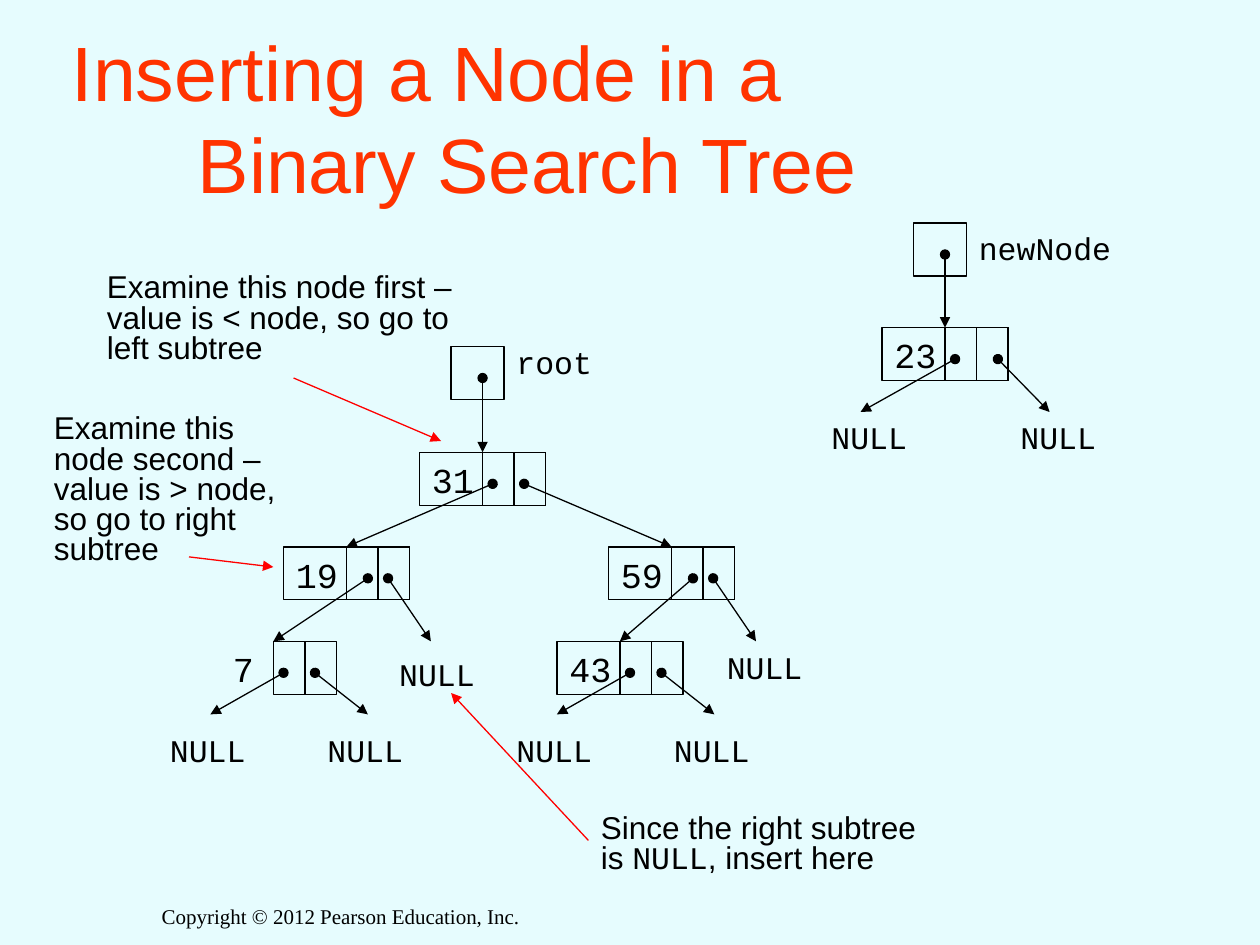
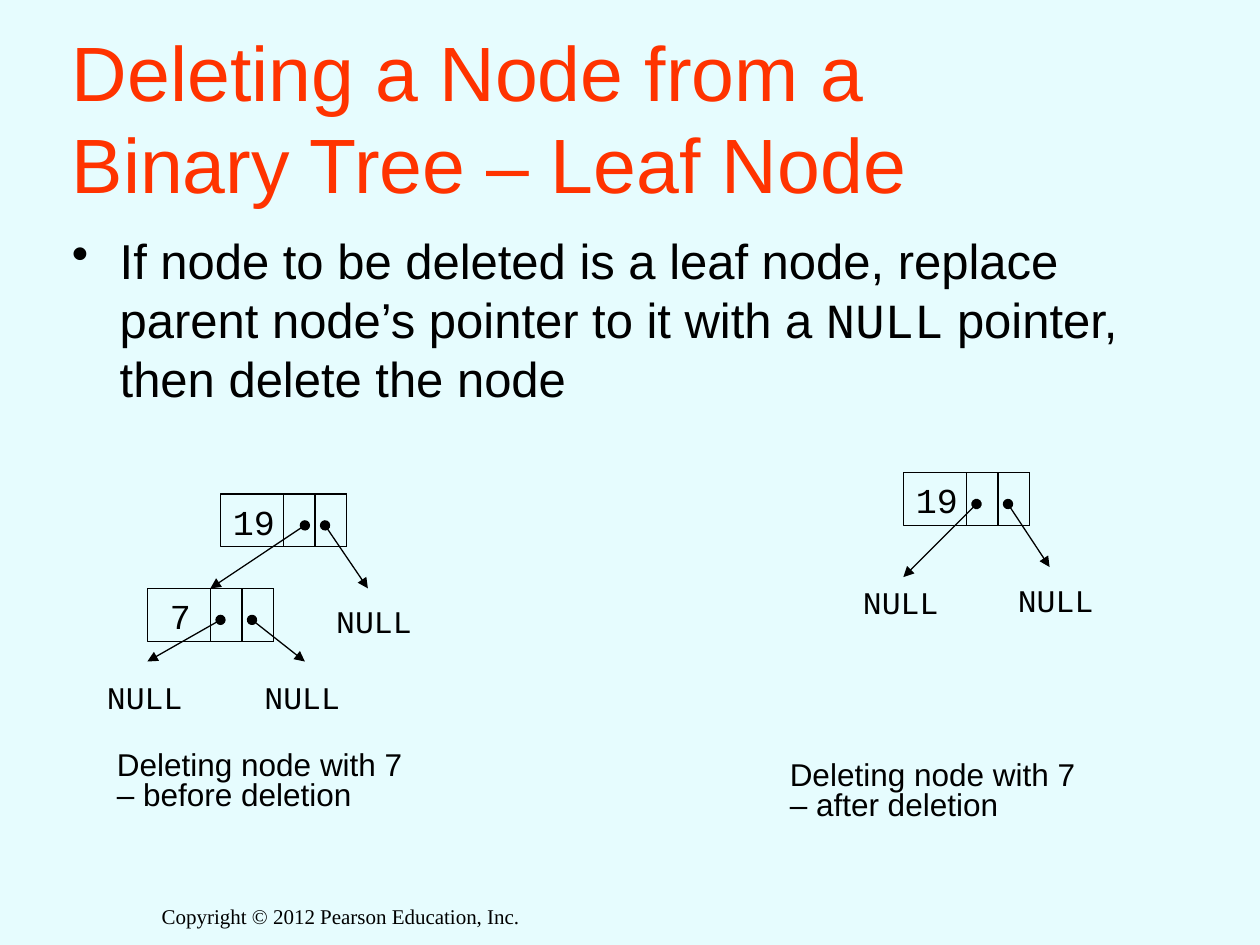
import pptx
import pptx.dml.color
import pptx.enum.shapes
import pptx.enum.text
import pptx.oxml
import pptx.oxml.ns
import pptx.util
from pptx.util import Inches

COLORS = {
    "background": "E6FCFE",
    "title": "FF3300",
    "ink": "000000",
    "callout": "FF0000",
}
SANS, MONO, SERIF = "Arial", "Courier New", "Times New Roman"
COPYRIGHT = "Copyright © 2012 Pearson Education, Inc."
CELL_WIDTH, BOX_HEIGHT = 0.25, 0.42
LEFT_DOT, RIGHT_DOT, DOT_DROP = 0.58, 0.83, 0.25


def rgb(name):
    return pptx.dml.color.RGBColor.from_string(COLORS[name])


def add_xml(parent, tag, **attributes):
    child = pptx.oxml.parse_xml(f"<a:{tag} {pptx.oxml.ns.nsdecls('a')}/>")
    for key, value in attributes.items():
        child.set(key, str(value))
    parent.append(child)
    return child


class TreeDeck:
    """Style of the deck and the slide being drawn."""

    def __init__(self):
        self.prs = pptx.Presentation()
        self.prs.slide_width, self.prs.slide_height = Inches(10), Inches(7.5)
        fill = self.prs.slide_master.background.fill
        fill.solid()
        fill.fore_color.rgb = rgb("background")
        self.slide = None

    def new_slide(self, title, hanging=0):
        self.slide = self.prs.slides.add_slide(self.prs.slide_layouts[6])
        self.text(COPYRIGHT, 1.08, 7.12, 3.25, 0.61, size=12, font=SERIF,
                  align=pptx.enum.text.PP_ALIGN.CENTER)
        self.text(title, 0.5, 0.3, 9, 1.25, size=44, color="title",
                  anchor=pptx.enum.text.MSO_ANCHOR.MIDDLE,
                  inset=(0.07, 0.05), hanging=hanging)

    def text(self, content, x, y, width, height, *, size=18, font=SANS,
             color="ink", align=None, anchor=pptx.enum.text.MSO_ANCHOR.TOP,
             inset=(0.1, 0.05), spacing=None, wrap=True, hanging=0, bullet=None):
        """Content is a string, or a list of (string, font) runs."""
        frame = self.slide.shapes.add_textbox(
            Inches(x), Inches(y), Inches(width), Inches(height)).text_frame
        frame.word_wrap = wrap
        frame.vertical_anchor = anchor
        frame.margin_left = frame.margin_right = Inches(inset[0])
        frame.margin_top = frame.margin_bottom = Inches(inset[1])
        paragraph = frame.paragraphs[0]
        if align is not None:
            paragraph.alignment = align
        if spacing:
            paragraph.line_spacing = spacing
        if hanging:
            properties = paragraph._p.get_or_add_pPr()
            properties.set("marL", str(Inches(hanging)))
            properties.set("indent", str(-Inches(hanging)))
            if bullet:
                add_xml(properties, "buChar", char=bullet)
        runs = [(content, font)] if isinstance(content, str) else content
        for words, run_font in runs:
            for index, line in enumerate(words.split("\n")):
                if index:
                    paragraph.add_line_break()
                run = paragraph.add_run()
                run.text = line
                run.font.name = run_font
                run.font.size = pptx.util.Pt(size)
                run.font.color.rgb = rgb(color)

    def code(self, word, x, y, size=18):
        """Monospaced label whose box fits its characters."""
        width = len(word) * 0.6 * size / 72 + 0.2
        self.text(word, x, y, width, 0.04 + size / 50, size=size, font=MONO,
                  wrap=False)

    def caption(self, content, x, y, width, height):
        self.text(content, x, y, width, height, spacing=0.8)

    def box(self, x, y, width):
        box = self.slide.shapes.add_shape(
            pptx.enum.shapes.MSO_SHAPE.RECTANGLE,
            Inches(x), Inches(y), Inches(width), Inches(BOX_HEIGHT))
        box.shadow.inherit = False
        box.fill.background()
        box.line.color.rgb = rgb("ink")
        box.line.width = pptx.util.Pt(0.75)
        return box

    def node(self, value, x, y, value_shift=0, outlined=True):
        """Value cell followed by two pointer cells; returns the outline."""
        outline = self.box(x, y, 1) if outlined else None
        for column in (2, 3):
            self.box(x + column * CELL_WIDTH, y, CELL_WIDTH)
        self.code(value, x + value_shift, y, size=20)
        return outline

    def arrow(self, start, end, color="ink", dotted_start=True, target=None):
        arrow = self.slide.shapes.add_connector(
            pptx.enum.shapes.MSO_CONNECTOR.STRAIGHT,
            *(Inches(length) for length in (*start, *end)))
        if target is not None:
            arrow.end_connect(target, 0)
        arrow.line.color.rgb = rgb(color)
        arrow.line.width = pptx.util.Pt(0.75)
        line = arrow.line._get_or_add_ln()
        if dotted_start:
            add_xml(line, "headEnd", type="oval")
        add_xml(line, "tailEnd", type="triangle")
        add_xml(arrow._element.spPr, "effectLst")

    def callout(self, start, end):
        self.arrow(start, end, color="callout", dotted_start=False)

    def child_link(self, x, y, child, target=None, dot=LEFT_DOT):
        """Pointer from the node at x, y to the top centre of a child node."""
        self.arrow((x + dot, y + DOT_DROP), (child[0] + 0.5, child[1]),
                   target=target)

    def null_link(self, x, y, end, dot=RIGHT_DOT, shift=(-0.35, 0.06)):
        """Pointer from the node at x, y to a NULL label."""
        self.arrow((x + dot, y + DOT_DROP), end)
        self.code("NULL", end[0] + shift[0], end[1] + shift[1])

    def leaf_links(self, x, y):
        for dot, reach in ((LEFT_DOT, 0), (RIGHT_DOT, 1.25)):
            self.null_link(x, y, (x + reach, y + 0.58), dot, (-0.42, 0.08))

    def entry(self, name, x, y, node, target, label_rise=0):
        """Named pointer variable that leads to a node."""
        self.box(x, y, BOX_HEIGHT)
        self.code(name, x + BOX_HEIGHT, y - label_rise)
        self.arrow((x + 0.25, y + 0.25), (node[0] + 0.5, node[1]), target=target)


def insertion_slide(deck):
    deck.new_slide("Inserting a Node in a\nBinary Search Tree", hanging=1)

    # Tree nodes
    n31, n19, n59 = (3.33, 3.59), (2.25, 4.34), (4.83, 4.34)
    n7, n43 = (1.67, 5.09), (4.42, 5.09)
    top = deck.node("31", *n31)
    left = deck.node("19", *n19)
    right = deck.node("59", *n59)
    deck.node("7", *n7, value_shift=0.08, outlined=False)
    inner = deck.node("43", *n43)

    # Tree pointers
    deck.entry("root", 3.58, 2.75, n31, top, label_rise=0.08)
    deck.child_link(*n31, n19, left)
    deck.child_link(*n31, n59, right, dot=RIGHT_DOT)
    deck.child_link(*n19, n7, dot=0.67)
    deck.child_link(*n59, n43, inner, dot=0.67)
    deck.null_link(*n19, (3.42, 5.09))
    deck.null_link(*n59, (6, 5.09), shift=(-0.33, 0))
    for leaf in (n7, n43):
        deck.leaf_links(*leaf)

    # Steps of the search
    deck.caption("Examine this node first – value is < node, so go to left subtree",
                 0.75, 2.13, 3.08, 0.82)
    deck.callout((2.33, 3), (3.5, 3.5))
    deck.caption("Examine this node second – value is > node, so go to right subtree",
                 0.33, 3.25, 2.25, 1.3)
    deck.callout((1.5, 4.42), (2.17, 4.5))
    deck.caption([("Since the right subtree is ", SANS), ("NULL", MONO),
                  (", insert here", SANS)], 4.67, 6.42, 2.93, 0.58)
    deck.callout((4.67, 6.67), (3.58, 5.5))

    # Node to insert
    n23 = (7, 2.6)
    deck.entry("newNode", 7.25, 1.77, n23, deck.node("23", *n23))
    for dot, end_x in ((LEFT_DOT, 6.83), (0.92, 8.33)):
        deck.null_link(*n23, (end_x, 3.27), dot, (-0.33, 0))


def deletion_slide(deck):
    deck.new_slide("Deleting a Node from a\nBinary Tree – Leaf Node")
    deck.text([("If node to be deleted is a leaf node, replace parent node’s "
                "pointer to it with a ", SANS), ("NULL", MONO),
               (" pointer, then delete the node", SANS)],
              0.5, 1.75, 9.08, 1.75, size=28, inset=(0.07, 0.08),
              hanging=0.38, bullet="•")

    # Before deletion
    parent, leaf = (1.75, 3.92), (1.17, 4.67)
    deck.node("19", *parent)
    leaf_box = deck.node("7", *leaf, value_shift=0.08)
    deck.child_link(*parent, leaf, leaf_box, dot=0.67)
    deck.null_link(*parent, (2.92, 4.67))
    deck.leaf_links(*leaf)
    deck.caption("Deleting node with 7 – before deletion", 0.83, 5.92, 2.6, 0.58)

    # After deletion
    remaining = (7.17, 3.75)
    deck.node("19", *remaining)
    deck.null_link(*remaining, (7.17, 4.58), LEFT_DOT, (-0.42, 0))
    deck.null_link(*remaining, (8.33, 4.5))
    deck.caption("Deleting node with 7 – after deletion", 6.17, 6, 2.6, 0.58)


def main():
    deck = TreeDeck()
    insertion_slide(deck)
    deletion_slide(deck)
    deck.prs.save("out.pptx")


if __name__ == "__main__":
    main()
